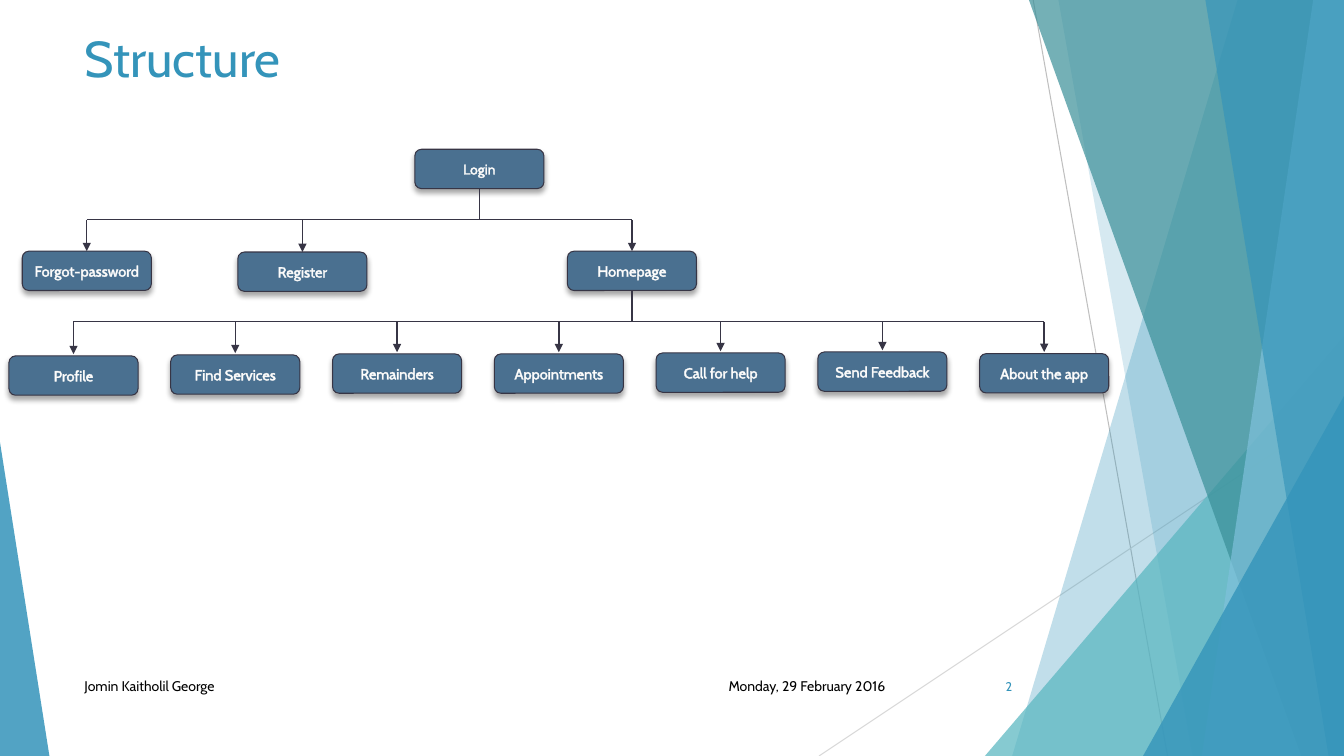
from dataclasses import dataclass

from lxml.etree import SubElement
from pptx import Presentation
from pptx.dml.color import RGBColor
from pptx.enum.shapes import MSO_CONNECTOR, MSO_SHAPE
from pptx.enum.text import MSO_ANCHOR, PP_ALIGN
from pptx.oxml import parse_xml
from pptx.oxml.ns import nsdecls, qn
from pptx.util import Pt


@dataclass(frozen=True)
class Theme:
    font: str = "Cabin"
    accent: str = "3494BA"
    aqua: str = "58B6C0"
    teal: str = "3A8F98"
    sky: str = "7FC1DB"
    node: str = "4A7090"
    ink: str = "373545"
    black: str = "000000"
    white: str = "FFFFFF"
    glow: str = "F2F2F2"
    gray: str = "BFBFBF"
    pale: str = "D9D9D9"
    title_size: float = 36
    body_size: float = 10
    node_size: float = 10.5
    number_size: float = 9


@dataclass(frozen=True)
class Box:
    left: float
    top: float
    width: float
    height: float

    def inner(self, left, top, width, height):
        return Box(self.left + left, self.top + top, width, height)

    def lengths(self):
        return [Pt(value) for value in (self.left, self.top, self.width, self.height)]


THEME = Theme()
NODE_WIDTH, NODE_HEIGHT = 92.2, 28.1


def apply(target, values):
    for name, value in values.items():
        setattr(target, name, value)


def write(shape, text, size, color, align=PP_ALIGN.LEFT, anchor=MSO_ANCHOR.MIDDLE, side=7.2):
    frame = shape.text_frame
    apply(frame, {"word_wrap": True, "vertical_anchor": anchor,
                  "margin_left": Pt(side), "margin_right": Pt(side),
                  "margin_top": Pt(3.6), "margin_bottom": Pt(3.6)})
    para = frame.paragraphs[0]
    para.alignment = align
    span = para.add_run()
    span.text = text
    apply(span.font, {"name": THEME.font, "size": Pt(size)})
    span.font.color.rgb = RGBColor.from_string(color)
    return span


def add_label(page, box, text, size, color, **layout):
    write(page.shapes.add_textbox(*box.lengths()), text, size, color, **layout)


def add_line(page, start, end, color, width, arrow=False):
    line = page.shapes.add_connector(
        MSO_CONNECTOR.STRAIGHT, *[Pt(value) for value in (*start, *end)])
    line.line.color.rgb = RGBColor.from_string(color)
    line.line.width = Pt(width)
    properties = line._element.spPr
    if arrow:
        SubElement(properties.find(qn("a:ln")), qn("a:tailEnd"), type="triangle")
    SubElement(properties, qn("a:effectLst"))


def paint(shape, color, opacity):
    shape.shadow.inherit = False
    shape.fill.solid()
    shape.fill.fore_color.rgb = RGBColor.from_string(color)
    shape.line.fill.background()
    tint = next(shape._element.spPr.iter(qn("a:srgbClr")))
    SubElement(tint, qn("a:alpha"), val=str(opacity * 1000))


def add_band(page, box, top_x, bottom_x, color, opacity):
    right, bottom = box.left + box.width, box.top + box.height
    corners = [(box.left + top_x, box.top), (right, box.top),
               (right, bottom), (box.left + bottom_x, bottom)]
    points = [(Pt(x), Pt(y)) for x, y in corners]
    builder = page.shapes.build_freeform(*points[0], scale=1.0)
    builder.add_line_segments(points[1:], close=True)
    paint(builder.convert_to_shape(), color, opacity)


def add_triangle(page, box, apex, color, opacity):
    triangle = page.shapes.add_shape(MSO_SHAPE.ISOSCELES_TRIANGLE, *box.lengths())
    triangle.adjustments[0] = apex
    paint(triangle, color, opacity)


def add_backdrop(page, box):
    right, bottom = box.left + box.width, box.top + box.height
    add_line(page, (box.left + 738, box.top), (box.left + 834, bottom), THEME.gray, 0.75)
    add_line(page, (right, box.top + 290), (box.left + 585, bottom), THEME.pale, 0.75)
    for band in ((884, 723, THEME.accent, 30), (756, 852, THEME.accent, 20)):
        add_band(page, box, *band)
    add_triangle(page, box.inner(703.5, 240, 256.5, 300), 1, THEME.aqua, 72)
    for band in ((735, 929.5, THEME.teal, 70), (938, 858.5, THEME.sky, 70),
                 (861, 949, THEME.accent, 65)):
        add_band(page, box, *band)
    add_triangle(page, box.inner(816.5, 283, 143.5, 257), 1, THEME.accent, 80)
    add_triangle(page, box.inner(0, 316, 35.3, 224), 0, THEME.accent, 85)


def add_node(page, center, top, text, size=THEME.node_size):
    box = Box(center - NODE_WIDTH / 2, top, NODE_WIDTH, NODE_HEIGHT)
    node = page.shapes.add_shape(MSO_SHAPE.ROUNDED_RECTANGLE, *box.lengths())
    node.fill.solid()
    node.fill.fore_color.rgb = RGBColor.from_string(THEME.node)
    node.line.color.rgb = RGBColor.from_string(THEME.ink)
    node.line.width = Pt(0.75)
    node.shadow.inherit = False
    node._element.spPr.find(qn("a:effectLst")).append(parse_xml(
        f'<a:outerShdw {nsdecls("a")} blurRad="{Pt(4)}" dist="{Pt(3)}" dir="5400000" '
        f'rotWithShape="0"><a:srgbClr val="{THEME.black}"><a:alpha val="35000"/>'
        '</a:srgbClr></a:outerShdw>'))
    span = write(node, text, size, THEME.white, align=PP_ALIGN.CENTER, side=0)
    span.font._element.insert(0, parse_xml(
        f'<a:ln {nsdecls("a")} w="{Pt(0.75)}"><a:solidFill>'
        f'<a:srgbClr val="{THEME.glow}"/></a:solidFill></a:ln>'))


def add_branch(page, parent, bus, children, gap):
    center, top = parent
    centers = [child[0] for child in children]
    add_line(page, (center, top + NODE_HEIGHT), (center, bus), THEME.ink, 1)
    add_line(page, (min(centers), bus), (max(centers), bus), THEME.ink, 1)
    for child_center, child_top, text in children:
        add_line(page, (child_center, bus), (child_center, child_top - gap),
                 THEME.ink, 1, arrow=True)
        add_node(page, child_center, child_top, text)


def add_tree(page, box):
    login = (box.left + 336, box.top)
    home = (box.left + 445, box.top + 72.8)
    entries = [(box.left + 55.6, home[1], "Forgot-password"),
               (box.left + 209.6, home[1] + 0.6, "Register"),
               (*home, "Homepage")]
    features = [("Profile", 147.6), ("Find Services", 146.9), ("Remainders", 146.2),
                ("Appointments", 146.2), ("Call for help", 145.5),
                ("Send Feedback", 144.8), ("About the app", 146)]
    pages = [(box.left + 46.1 + 115.56 * index, box.top + top, text)
             for index, (text, top) in enumerate(features)]
    add_node(page, *login, "Login", THEME.body_size)
    add_branch(page, login, box.top + 50.4, entries, 0)
    add_branch(page, home, box.top + 123.1, pages, 1.2)


def add_footer(page, box):
    add_label(page, box.inner(441.4, 0, 144.7, box.height), "Monday, 29 February 2016",
              THEME.body_size, THEME.black, align=PP_ALIGN.RIGHT)
    add_label(page, box.inner(0, 0, 380, box.height), "Jomin Kaitholil George",
              THEME.body_size, THEME.black)
    add_label(page, box.inner(box.width - 54, 0, 54, box.height), "2",
              THEME.number_size, THEME.accent, align=PP_ALIGN.RIGHT)


def add_structure_page(deck, box):
    page = deck.slides.add_slide(deck.slide_layouts[6])
    add_backdrop(page, box)
    add_label(page, box.inner(53.3, 15.8, 676.8, 90.7), "Structure",
              THEME.title_size, THEME.accent, anchor=MSO_ANCHOR.TOP)
    add_footer(page, box.inner(53.3, 475.9, 676.8, 28.8))
    add_tree(page, box.inner(6.4, 106.6, 785.6, 175.7))


def main():
    deck = Presentation()
    apply(deck, {"slide_width": Pt(960), "slide_height": Pt(540)})
    add_structure_page(deck, Box(0, 0, 960, 540))
    deck.save("out.pptx")


if __name__ == "__main__":
    main()
